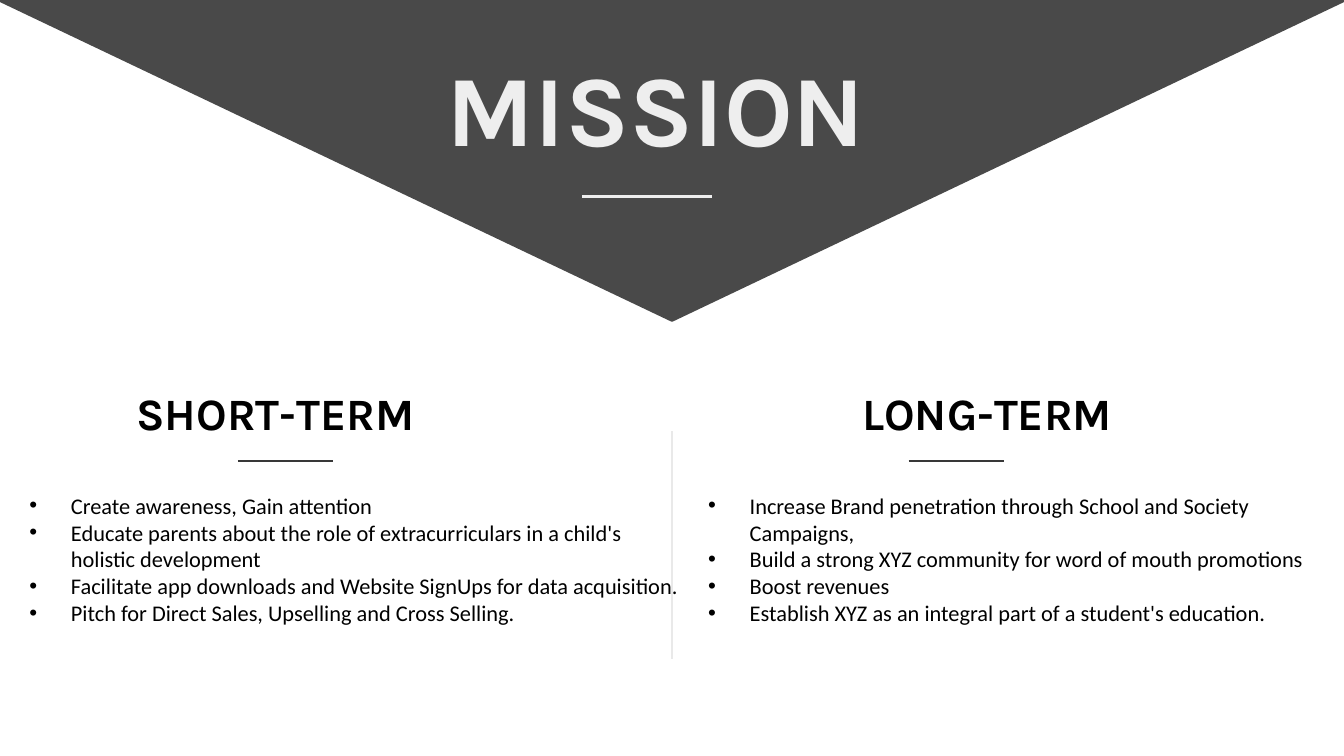
from lxml.etree import SubElement
from pptx import Presentation
from pptx.dml.color import RGBColor as RGB
from pptx.enum.shapes import MSO_CONNECTOR as LINK, MSO_SHAPE as SHAPE
from pptx.enum.text import MSO_ANCHOR as ANCHOR, MSO_AUTO_SIZE as FIT, PP_ALIGN as ALIGN
from pptx.oxml.ns import qn
from pptx.util import Inches, Pt

HUES = {"dark": "494949", "pale": "EEEEEE", "rule": "383838", "split": "E9E9E9", "ink": "000000"}
WIDE = 10
HIGH = WIDE * 9 / 16
MID = WIDE / 2
RULE_Y, LIST_Y, LIST_H = 3.43, 3.61, 1.11
RULE_W, INDENT = 0.71, 0.31

# heading, its box, rule start, list left and width, points
COLUMNS = [
    ("SHORT-TERM", (0.27, 2.81, 3.56, 0.52), 1.77, 0.12, 5.07, [
        "Create awareness, Gain attention",
        "Educate parents about the role of extracurriculars in a child's holistic development",
        "Facilitate app downloads and Website SignUps for data acquisition.",
        "Pitch for Direct Sales, Upselling and Cross Selling."]),
    ("LONG-TERM", (5.62, 2.84, 3.45, 0.46), 6.76, 5.17, 4.9, [
        "Increase Brand penetration through School and Society Campaigns,",
        "Build a strong XYZ community for word of mouth promotions",
        "Boost revenues",
        "Establish XYZ as an integral part of a student's education."]),
]


def style(para, face, size, hue, bold=False):
    font = para.font
    font.name, font.size, font.bold = face, Pt(size), bold
    font.color.rgb = RGB.from_string(HUES[hue])


def rule(x1, y1, x2, y2, hue, width):
    line = slide.shapes.add_connector(LINK.STRAIGHT, *map(Inches, (x1, y1, x2, y2)))
    line.line.color.rgb = RGB.from_string(HUES[hue])
    line.line.width = Pt(width)
    SubElement(line.element.spPr, qn("a:effectLst"))


deck = Presentation()
deck.slide_width, deck.slide_height = Inches(WIDE), Inches(HIGH)
slide = deck.slides.add_slide(deck.slide_layouts[5])

# Banner pointing down, with the title on top of it
banner = slide.shapes.add_shape(SHAPE.ISOSCELES_TRIANGLE, 0, 0, Inches(WIDE), Inches(2.38))
banner.rotation = 180
banner.shadow.inherit = False
banner.fill.solid()
banner.fill.fore_color.rgb = banner.line.color.rgb = RGB.from_string(HUES["dark"])
banner.line.width = Pt(2)

title = slide.shapes.title
banner.element.addnext(title.element)
title.left, title.top, title.width, title.height = map(Inches, (2.65, 0.29, 4.46, 1.01))
frame = title.text_frame
frame.text = "MISSION"
frame.auto_size = FIT.SHAPE_TO_FIT_TEXT
frame.vertical_anchor = ANCHOR.TOP
frame.paragraphs[0].alignment = ALIGN.CENTER
style(frame.paragraphs[0], "Karla", 54, "pale", True)
rule(4.33, 1.46, 5.3, 1.46, "pale", 1.5)

rule(MID, 3.21, MID, 4.9, "split", 0.75)

for name, box, start, left, width, points in COLUMNS:
    frame = slide.shapes.add_textbox(*map(Inches, box)).text_frame
    frame.word_wrap = True
    frame.vertical_anchor = ANCHOR.MIDDLE
    frame.margin_left = frame.margin_right = frame.margin_top = frame.margin_bottom = Inches(0.1)
    frame.text = name
    frame.paragraphs[0].alignment = ALIGN.CENTER
    style(frame.paragraphs[0], "Karla", 24, "ink", True)

    rule(start, RULE_Y, start + RULE_W, RULE_Y, "rule", 1.5)

    block = slide.shapes.add_textbox(*map(Inches, (left, LIST_Y, width, LIST_H)))
    frame = block.text_frame
    frame.word_wrap = True
    frame.auto_size = FIT.SHAPE_TO_FIT_TEXT
    frame.text = "\n".join(points)
    for para in frame.paragraphs:
        style(para, "Calibri", 12, "ink")
    for props in block.element.iter(qn("a:pPr")):
        props.set("marL", str(Inches(INDENT)))
        props.set("indent", str(-Inches(INDENT)))
        # Bullet marks come before the default run properties
        mark = props.makeelement(qn("a:buFont"), {"typeface": "Arial"})
        props.insert(0, mark)
        mark.addnext(props.makeelement(qn("a:buChar"), {"char": "•"}))

deck.save("out.pptx")
